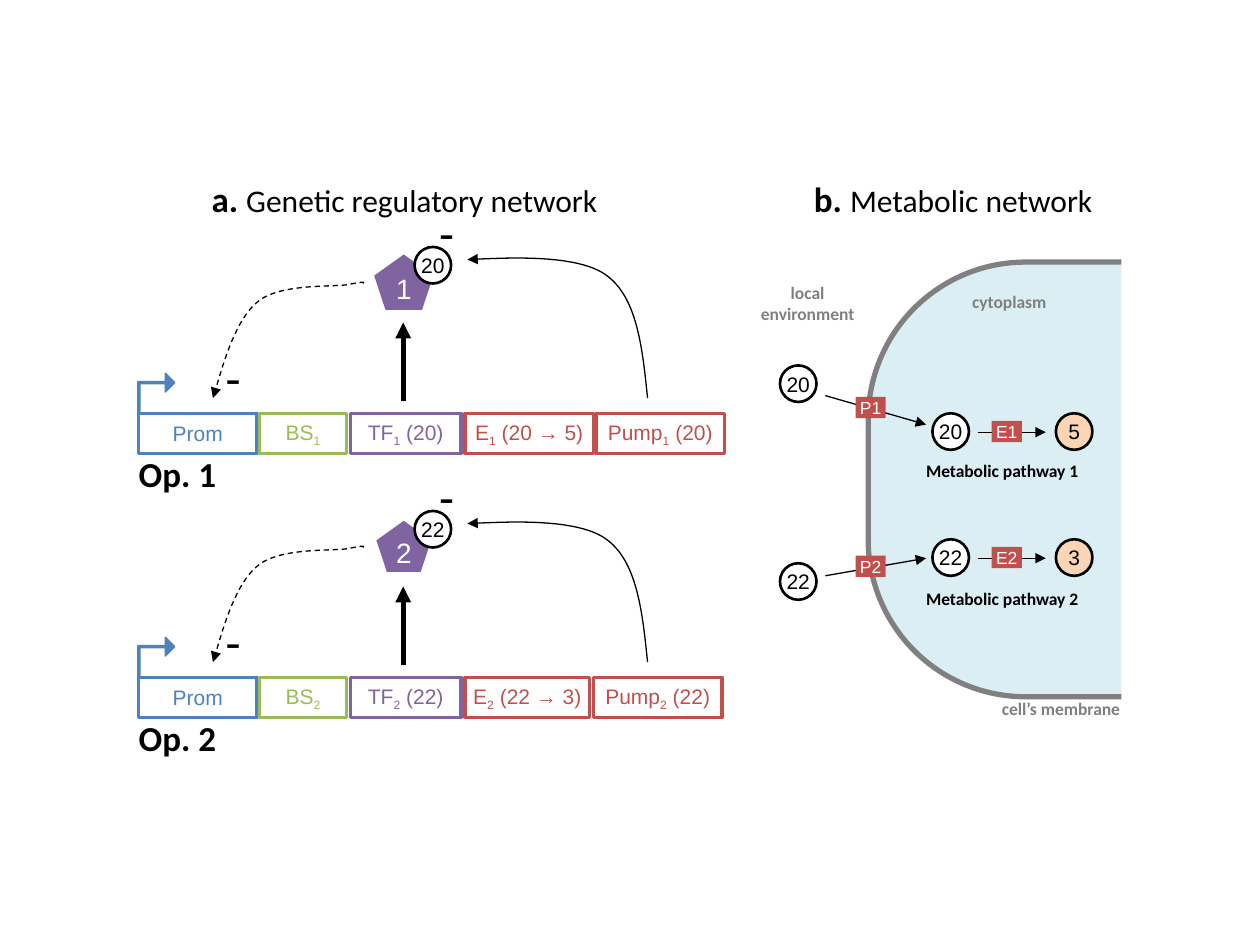
from pptx import Presentation
from pptx.dml.color import RGBColor
from pptx.enum.dml import MSO_LINE_DASH_STYLE as DASH
from pptx.enum.shapes import MSO_CONNECTOR, MSO_SHAPE as SHAPE
from pptx.enum.text import MSO_ANCHOR, MSO_AUTO_SIZE, PP_ALIGN as ALIGN
from pptx.oxml.ns import qn
from pptx.util import Inches, Pt
from lxml.etree import SubElement

BLACK = RGBColor(0, 0, 0)
WHITE = RGBColor(0xFF, 0xFF, 0xFF)
BLUE = RGBColor(0x4F, 0x81, 0xBD)
GREEN = RGBColor(0x9B, 0xBB, 0x59)
PURPLE = RGBColor(0x80, 0x64, 0xA2)
RED = RGBColor(0xC0, 0x50, 0x4D)
GRAY = RGBColor(0x80, 0x80, 0x80)
CYTOPLASM = RGBColor(0xDB, 0xEE, 0xF4)
PEACH = RGBColor(0xFC, 0xD5, 0xB5)

COLUMNS, ROWS = 100, 75
OPERON_STEP = 20.95


class Diagram:
    def __init__(self, prs):
        self.slide = prs.slides.add_slide(prs.slide_layouts[6])
        self.shapes = self.slide.shapes
        self.cw = prs.slide_width / COLUMNS
        self.rh = prs.slide_height / ROWS

    def at(self, x, y):
        return round(x * self.cw), round(y * self.rh)

    def set_text(self, tf, paragraphs, align, **base):
        margins = {f"margin_{side}": 0 for side in ("left", "top", "right", "bottom")}
        for name, value in margins.items():
            setattr(tf, name, value)
        for i, runs in enumerate(paragraphs):
            p = tf.paragraphs[0] if i == 0 else tf.add_paragraph()
            p.alignment = align
            for text, extra in runs:
                r = p.add_run()
                r.text = text
                fmt = {**base, **extra}
                r.font.color.rgb = fmt.pop("color")
                r.font.size = Pt(fmt.pop("size"))
                if fmt.pop("sub", False):
                    r.font._element.set("baseline", "-25000")
                for name, value in fmt.items():
                    setattr(r.font, name, value)

    def stroke(self, line, color, width, dash=None):
        line.color.rgb = color
        line.width = Pt(width)
        if dash:
            line.dash_style = dash

    def arrowhead(self, s):
        ln = s.line._get_or_add_ln()
        SubElement(ln, qn("a:tailEnd"), type="triangle")

    def shape(self, kind, x, y, w, h, fill=None, line=None, width=1, adj=(),
              text="", size=12, color=BLACK):
        s = self.shapes.add_shape(kind, *self.at(x, y), *self.at(w, h))
        s.shadow.inherit = False
        for i, value in enumerate(adj):
            s.adjustments[i] = value
        if fill is None:
            s.fill.background()
        else:
            s.fill.solid()
            s.fill.fore_color.rgb = fill
        if line is None:
            s.line.fill.background()
        else:
            self.stroke(s.line, line, width)
        if text:
            tf = s.text_frame
            tf.vertical_anchor = MSO_ANCHOR.MIDDLE
            runs = [(t, {"sub": i % 2 == 1}) for i, t in enumerate(text.split("_")) if t]
            self.set_text(tf, [runs], ALIGN.CENTER, size=size, name="Arial", color=color)
        return s

    def gene(self, x, y, w, text, color):
        self.shape(SHAPE.RECTANGLE, x, y, w, 3.2, line=color, width=2, text=text, color=color)

    def metabolite(self, x, y, text, fill=WHITE):
        self.shape(SHAPE.OVAL, x, y, 2.9, 2.9, fill, BLACK, 1.5, text=text)

    def protein(self, x, y, text):
        self.shape(SHAPE.RECTANGLE, x, y, 2.4, 1.7, RED, text=text, size=10, color=WHITE)

    def label(self, x, y, w, h, paragraphs, align=ALIGN.LEFT, size=10, bold=True, color=BLACK):
        tf = self.shapes.add_textbox(*self.at(x, y), *self.at(w, h)).text_frame
        tf.word_wrap = False
        tf.auto_size = MSO_AUTO_SIZE.SHAPE_TO_FIT_TEXT
        self.set_text(tf, paragraphs, align, size=size, bold=bold, name="Calibri", color=color)

    def title(self, x, w, letter, text):
        runs = [(f"{letter}. ", {}), (text, {"size": 18, "bold": False})]
        self.label(x, 14.1, w, 3.4, [runs], size=20)

    def minus(self, x, y):
        self.label(x, y, 1.2, 4.7, [[("-", {})]], size=28, bold=False)

    def arrow(self, x1, y1, x2, y2, width=0.75):
        s = self.shapes.add_connector(MSO_CONNECTOR.STRAIGHT, *self.at(x1, y1), *self.at(x2, y2))
        self.stroke(s.line, BLACK, width)
        self.arrowhead(s)
        SubElement(s._element.spPr, qn("a:effectLst"))

    def curve(self, points, dy, dash=None):
        start, *rest = [self.at(x, y + dy) for x, y in points]
        builder = self.shapes.build_freeform(*start)
        builder.add_line_segments(rest, close=False)
        s = builder.convert_to_shape()
        s.shadow.inherit = False
        s.fill.background()
        self.stroke(s.line, BLACK, 0.75, dash)
        self.arrowhead(s)
        route = next(s._element.iter(qn("a:path")))
        segments = route.findall(qn("a:lnTo"))
        for i in range(0, len(segments), 3):
            bezier = SubElement(route, qn("a:cubicBezTo"))
            for segment in segments[i:i + 3]:
                bezier.append(segment[0])
                route.remove(segment)

    def operon(self, n, substrate, product, pump_x, enzyme_w, outline):
        dy = (n - 1) * OPERON_STEP
        y = 32.8 + dy
        self.gene(11, y, 9.4, "Prom", BLUE)
        self.gene(20.6, y, 6.9, f"BS_{n}", GREEN)
        self.gene(27.8, y, 8.8, f"TF_{n}_ ({substrate})", PURPLE)
        self.gene(36.9, y, enzyme_w, f"E_{n}_ ({substrate} → {product})", RED)
        self.gene(pump_x, y, 10.2, f"Pump_{n}_ ({substrate})", RED)
        s = self.shape(SHAPE.BENT_UP_ARROW, 10.8, 29.8 + dy, 3.2, 2.9, BLUE, BLUE,
                       adj=(0.05, 0.25, 0.25))
        s.rotation = 270
        s._element.spPr.xfrm.set("flipV", "1")
        self.arrow(32, 31.8 + dy, 32, 25.6 + dy, 3)
        self.shape(SHAPE.REGULAR_PENTAGON, 29.7, 20.2 + dy, 4.7, 4.4, PURPLE, outline, 2,
                   text=str(n), size=16, color=WHITE)
        self.metabolite(32.9, 19.6 + dy, substrate)
        self.curve([(51.4, 31.6), (51, 27.7), (50.6, 23.7), (48.2, 21.9),
                    (45.9, 20.1), (37.1, 20.6), (37.1, 20.6)], dy)
        self.curve([(28.8, 22.5), (28.9, 22.4), (29, 22.3), (27.6, 22.6), (26.2, 22.8),
                    (22.1, 22.5), (20.4, 24), (18.6, 25.5), (16.9, 31.6), (16.9, 31.6)],
                   dy, DASH.DASH)
        self.minus(34.85, 16.1 + dy)
        self.minus(17.9, 27.6 + dy)
        self.label(11, 35.9 + dy, 6.2, 3.4, [[(f"Op. {n}", {})]], size=20)

    def pathway(self, n, substrate, product, y, outside_y, entry, pump_y, label_y):
        middle = y + 1.5
        self.metabolite(61.9, outside_y, substrate)
        self.metabolite(74, y, substrate)
        self.metabolite(83.8, y, product, PEACH)
        self.arrow(65.5, entry[0], 73.5, entry[1])
        self.arrow(77.6, middle, 83, middle)
        self.protein(67.9, pump_y, f"P{n}")
        self.protein(78.7, y + 0.6, f"E{n}")
        self.label(73.5, label_y, 12.3, 1.7, [[(f"Metabolic pathway {n}", {})]])

    def cell(self):
        self.shape(SHAPE.ROUNDED_RECTANGLE, 68.9, 20.8, 43.2, 34.5, CYTOPLASM, GRAY, 3,
                   adj=(0.362,))
        self.shape(SHAPE.RECTANGLE, 89, 17.4, 25, 46.7, WHITE)
        for x, y, w, h, lines in (
            (60.3, 22.4, 7.6, 3.4, ("local", "environment")),
            (77.1, 23.1, 6, 1.7, ("cytoplasm",)),
            (79.4, 55.4, 9.6, 1.7, ("cell’s membrane",)),
        ):
            self.label(x, y, w, h, [[(t, {})] for t in lines], ALIGN.CENTER, color=GRAY)


def main():
    prs = Presentation()
    prs.slide_width, prs.slide_height = Inches(10), Inches(7.5)
    d = Diagram(prs)
    d.cell()
    d.title(16.8, 31, "a", "Genetic regulatory network")
    d.title(64.6, 22.4, "b", "Metabolic network")
    d.operon(1, "20", "5", pump_x=47.3, enzyme_w=10.2, outline=None)
    d.operon(2, "22", "3", pump_x=47.1, enzyme_w=9.9, outline=WHITE)
    d.pathway(1, "20", "5", 32.8, 29, (31.4, 33.7), 31.5, 36.5)
    d.pathway(2, "22", "3", 42.8, 44.7, (45.7, 44.3), 44.1, 46.7)
    prs.save("out.pptx")


if __name__ == "__main__":
    main()
